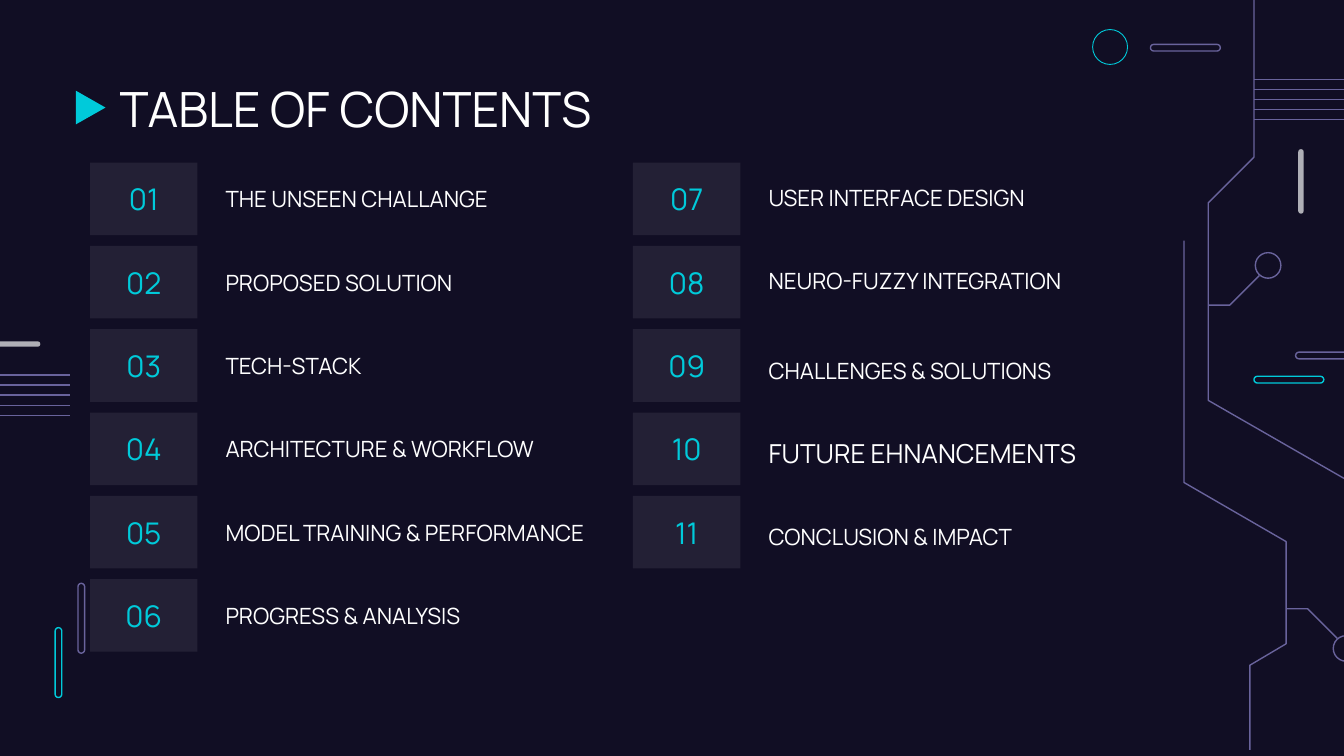
import pptx
import pptx.util
import pptx.dml.color
import pptx.enum.shapes
import pptx.enum.text
import pptx.oxml.ns
from lxml import etree

WIDE = 10
HIGH = WIDE * 9 / 16
TOP, STEP = 1.21, 0.62
BOX_W, BOX_H = 0.8, 0.54
CYAN, PLUM, GREY, WHITE = "00CADA", "69639C", "AFAFB6", "FFFFFF"
KIND = pptx.enum.shapes.MSO_SHAPE
ALIGN = pptx.enum.text.PP_ALIGN
INCH = pptx.util.Inches

LEFT = [
    ("THE UNSEEN CHALLANGE", 3.16, 12, 0),
    ("PROPOSED SOLUTION", 2.97, 12, 0),
    ("TECH-STACK", 2.97, 12, 0),
    ("ARCHITECTURE & WORKFLOW", 3.42, 12, 0),
    ("MODEL TRAINING & PERFORMANCE", 3.63, 12, 0),
    ("PROGRESS & ANALYSIS", 2.97, 12, 0),
]
RIGHT = [
    ("USER INTERFACE DESIGN", 3.16, 12, -0.01),
    ("NEURO-FUZZY INTEGRATION", 2.97, 12, -0.01),
    ("CHALLENGES & SOLUTIONS", 3.42, 12, 0.04),
    ("FUTURE EHNANCEMENTS", 3.63, 14, 0.03),
    ("CONCLUSION & IMPACT", 2.97, 12, 0.03),
]
PILLS = [
    (0.41, 4.67, 0.05, 0.52, CYAN),
    (0.58, 4.34, 0.05, 0.52, PLUM),
    (9.33, 2.8, 0.52, 0.05, CYAN),
    (9.64, 2.62, 0.52, 0.05, PLUM),
    (8.56, 0.33, 0.52, 0.05, PLUM),
]
BARS = [(9.66, 1.11, 0.04, 0.48), (-0.18, 2.54, 0.48, 0.04)]
RINGS = [
    (8.13, 0.22, 0.26, CYAN, 0.47),
    (9.34, 1.88, 0.19, PLUM, 0.75),
    (9.92, 4.73, 0.19, PLUM, 0.75),
]
TRACKS = [
    [(9.37, 2.05), (9.15, 2.27), (8.99, 2.27)],
    [(10, 3.56), (8.99, 2.98), (8.99, 1.51), (9.33, 1.17), (9.33, 0)],
    [(9.95, 4.75), (9.73, 4.53), (9.57, 4.53)],
    [(8.81, 1.79), (8.81, 3.59), (9.57, 4.03), (9.57, 4.79), (9.3, 4.95), (9.3, 5.58)],
]


def hue(text):
    return pptx.dml.color.RGBColor.from_string(text)


def apply(item, values):
    for name, value in values.items():
        setattr(item, name, value)


def paint(shape, fill=None, line=None, width=0.75):
    shape.shadow.inherit = False
    if fill:
        shape.fill.solid()
        shape.fill.fore_color.rgb = hue(fill)
    else:
        shape.fill.background()
    if line:
        shape.line.color.rgb = hue(line)
        shape.line.width = pptx.util.Pt(width)
    else:
        shape.line.fill.background()


def write(shape, text, size, color, align=ALIGN.LEFT):
    frame = shape.text_frame
    apply(frame, {
        "text": text,
        "word_wrap": True,
        "auto_size": pptx.enum.text.MSO_AUTO_SIZE.NONE,
        "vertical_anchor": pptx.enum.text.MSO_ANCHOR.MIDDLE,
        "margin_left": INCH(0.1),
        "margin_right": INCH(0.1),
        "margin_top": INCH(0.1),
        "margin_bottom": INCH(0.1),
    })
    para = frame.paragraphs[0]
    para.alignment = align
    font = para.runs[0].font
    apply(font, {"name": "Manrope", "size": pptx.util.Pt(size), "bold": False})
    font.color.rgb = hue(color)


def add_form(slide, kind, x, y, w, h, **look):
    shape = slide.shapes.add_shape(kind, INCH(x), INCH(y), INCH(w), INCH(h))
    paint(shape, **look)
    return shape


def add_pill(slide, x, y, w, h, **look):
    shape = add_form(slide, KIND.ROUNDED_RECTANGLE, x, y, w, h, **look)
    shape.adjustments[0] = 0.5


def add_track(slide, points):
    start, *rest = [(INCH(x), INCH(y)) for x, y in points]
    pen = slide.shapes.build_freeform(*start)
    pen.add_line_segments(rest, close=False)
    paint(pen.convert_to_shape(), line=PLUM)


def add_rules(slide, start, end, top):
    for row in range(5):
        y = INCH(top + 0.075 * row)
        rule = slide.shapes.add_connector(
            pptx.enum.shapes.MSO_CONNECTOR.STRAIGHT, INCH(start), y, INCH(end), y)
        rule.line.color.rgb = hue(PLUM)
        rule.line.width = pptx.util.Pt(0.75)
        etree.SubElement(rule._element.spPr, pptx.oxml.ns.qn("a:effectLst"))


def add_box(slide, x, y, text):
    box = add_form(slide, KIND.RECTANGLE, x, y, BOX_W, BOX_H, fill=WHITE)
    tint = box._element.spPr.find(".//" + pptx.oxml.ns.qn("a:srgbClr"))
    etree.SubElement(tint, pptx.oxml.ns.qn("a:alpha"), val="8000")
    write(box, text, 16, CYAN, ALIGN.CENTER)


def add_list(slide, x, first, items):
    for row, (text, wide, size, drop) in enumerate(items):
        y = TOP + STEP * row
        add_box(slide, x, y, f"{first + row:02d}")
        label = slide.shapes.add_textbox(
            INCH(x + 0.91), INCH(y + drop), INCH(wide), INCH(BOX_H))
        write(label, text, size, WHITE)


def add_title(slide, text):
    title = slide.shapes.title
    apply(title, {"left": INCH(0.79), "top": INCH(0.49),
                  "width": INCH(8.43), "height": INCH(0.63)})
    write(title, text, 26, WHITE)
    mark = add_form(slide, KIND.FLOWCHART_MERGE, 0.55, 0.69, 0.25, 0.22, fill=CYAN)
    mark.rotation = 270


def add_decor(slide):
    for x, y, w, h, color in PILLS:
        add_pill(slide, x, y, w, h, line=color)
    for x, y, w, h in BARS:
        add_pill(slide, x, y, w, h, fill=GREY)
    for x, y, size, color, width in RINGS:
        add_form(slide, KIND.OVAL, x, y, size, size, line=color, width=width)
    for points in TRACKS:
        add_track(slide, points)
    add_rules(slide, 9.33, WIDE, 0.59)
    add_rules(slide, 0, 0.52, 2.79)


def main():
    deck = pptx.Presentation()
    apply(deck, {"slide_width": INCH(WIDE), "slide_height": INCH(HIGH)})
    slide = deck.slides.add_slide(deck.slide_layouts[5])
    back = slide.background.fill
    back.solid()
    back.fore_color.rgb = hue("110E24")
    add_decor(slide)
    add_title(slide, "TABLE OF CONTENTS")
    add_list(slide, 0.67, 1, LEFT)
    add_list(slide, 4.71, 7, RIGHT)
    deck.save("out.pptx")


if __name__ == "__main__":
    main()
